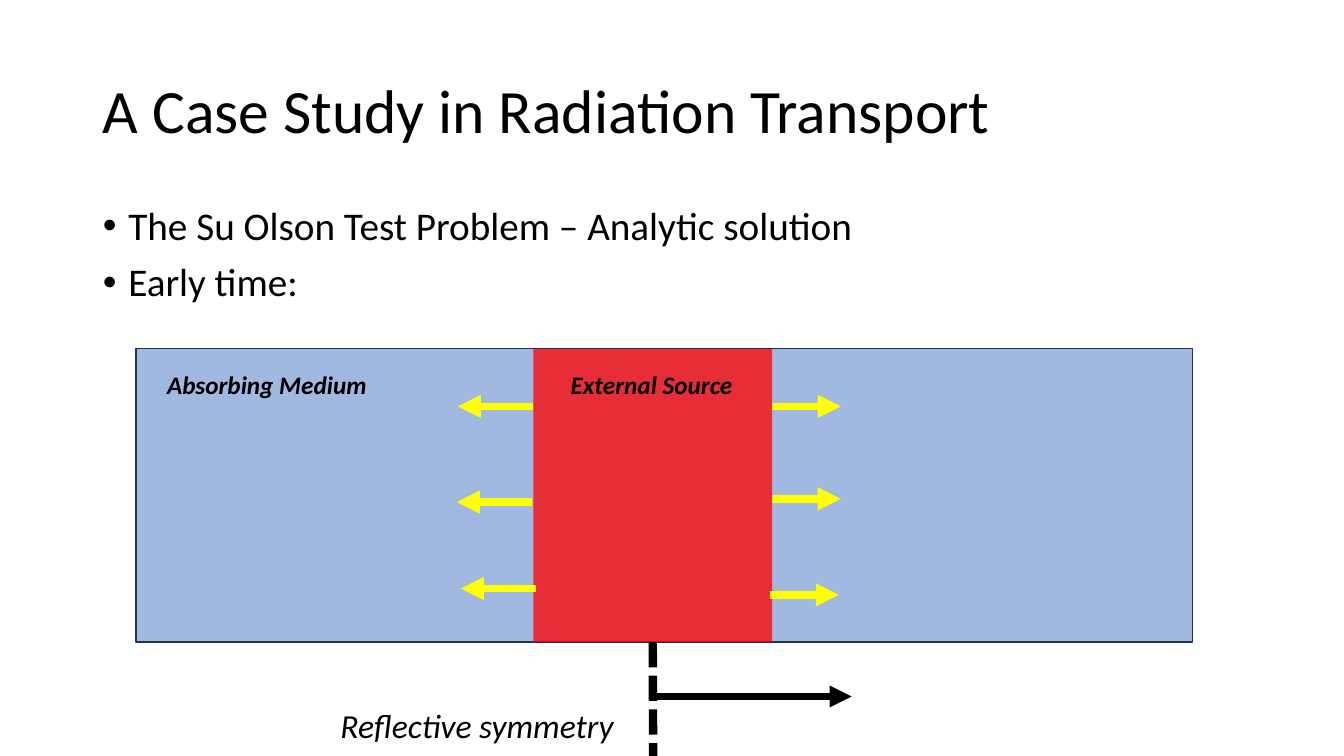
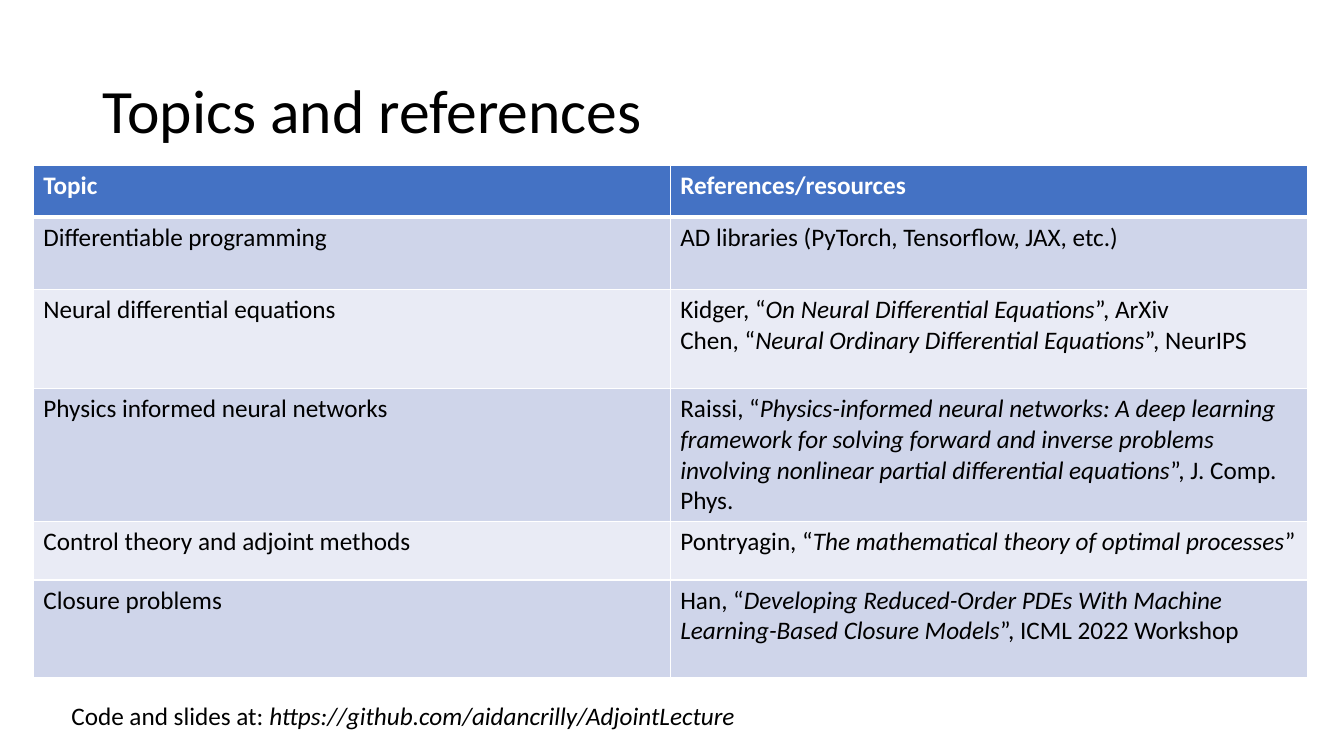
"""Build two lecture slides: a radiation transport diagram and a reference table."""
from dataclasses import dataclass
from typing import Any, NamedTuple, Optional

from lxml.etree import SubElement
from pptx import Presentation
from pptx.dml.color import RGBColor as Rgb
from pptx.enum.dml import MSO_LINE as Dash
from pptx.enum.shapes import MSO_CONNECTOR as Link, MSO_SHAPE as Preset
from pptx.enum.text import MSO_ANCHOR as Anchor, MSO_AUTO_SIZE as AutoSize, PP_ALIGN as Align
from pptx.oxml.ns import qn
from pptx.util import Cm, Pt

COLORS = {
    "text": "000000", "white": "FFFFFF", "accent": "4472C4", "outline": "1E3256",
    "source": "FF0000", "ray": "FFFF00", "band_dark": "CFD5EA", "band_light": "E9EBF5",
}
FONT = "Calibri"
TITLE_ONLY, TITLE_AND_BODY = 5, 1
TITLE_FRAME = (2.34, 1.02, 29.21, 3.68)
BODY_FRAME = (2.34, 5.08, 29.21, 12.09)


class Span(NamedTuple):
    text: str
    italic: bool = False


@dataclass
class Label:
    text: list[Span]
    frame: tuple[float, float, float, float]
    size: int = 18
    bold: bool = False
    align: Align = Align.LEFT


@dataclass
class Block:
    frame: tuple[float, float, float, float]
    fill: str
    opacity: int
    outline: Optional[str] = None


@dataclass
class Stroke:
    start: tuple[float, float]
    end: tuple[float, float]
    color: str = "ray"
    width: float = 5.5
    arrow: bool = True


@dataclass
class Topic:
    name: str
    references: list[list[Span]]
    height: float


def cite(author: str, work: str, venue: str = "") -> list[Span]:
    return [Span(f"{author}, “"), Span(work, True), Span(f"”{venue}")]


BULLETS = ["The Su Olson Test Problem – Analytic solution", "Early time:"]
MEDIUM = Block((3.43, 8.79, 26.62, 7.39), "accent", 50, "outline")
SOURCE = Block((13.44, 8.79, 6.02, 7.39), "source", 75)
LABELS = [
    Label([Span("Absorbing Medium", True)], (3.96, 9.19, 8.79, 1.02), bold=True),
    Label([Span("External Source", True)], (13.74, 9.19, 5.36, 1.02), bold=True, align=Align.CENTER),
    Label([Span("Reflective symmetry", True)], (8.33, 17.63, 11.66, 1.27), size=24),
]
ARROWS = [
    Stroke((16.38, 17.55), (21.46, 17.55), "text", 5.25),
    *(Stroke((left, y), (left + length, y)) for left, y, length in [
        (19.46, 10.24, 1.73), (19.46, 12.57, 1.73), (19.41, 14.99, 1.73),
        (13.44, 10.24, -1.9), (13.41, 12.65, -1.9), (13.51, 14.83, -1.9),
    ]),
]
SYMMETRY_AXIS = Stroke((16.45, 16.18), (16.46, 19.05), "text", 6, arrow=False)
TOPICS = [
    Topic("Differentiable programming",
          [[Span("AD libraries (PyTorch, Tensorflow, JAX, etc.)")]], 1.83),
    Topic("Neural differential equations",
          [cite("Kidger", "On Neural Differential Equations", ", ArXiv"),
           cite("Chen", "Neural Ordinary Differential Equations", ", NeurIPS")], 2.49),
    Topic("Physics informed neural networks",
          [cite("Raissi", "Physics-informed neural networks: A deep learning framework for solving "
                "forward and inverse problems involving nonlinear partial differential equations",
                ", J. Comp. Phys.")], 3.35),
    Topic("Control theory and adjoint methods",
          [cite("Pontryagin", "The mathematical theory of optimal processes")], 1.47),
    Topic("Closure problems",
          [cite("Han", "Developing Reduced-Order PDEs With Machine Learning-Based Closure Models",
                ", ICML 2022 Workshop")], 2.46),
]
CODE_NOTE = Label(
    [Span("Code and slides at: "), Span("https://github.com/aidancrilly/AdjointLecture", True)],
    (1.55, 17.53, 18.92, 1.02))


def rgb(name: str) -> Rgb:
    return Rgb.from_string(COLORS[name])


def apply(target: Any, values: dict[str, Any]) -> None:
    for name, value in values.items():
        setattr(target, name, value)


def write(para: Any, spans: list[Span], size: int, bold: bool = False, color: str = "text") -> None:
    for span in spans:
        run = para.add_run()
        run.text = span.text
        apply(run.font, {"name": FONT, "size": Pt(size), "bold": bold, "italic": span.italic})
        run.font.color.rgb = rgb(color)


def place(shape: Any, frame: tuple[float, float, float, float]) -> None:
    apply(shape, dict(zip(("left", "top", "width", "height"), map(Cm, frame))))


def add_page(deck: Any, layout: int, title: str) -> Any:
    page = deck.slides.add_slide(deck.slide_layouts[layout])
    box = page.shapes.title
    place(box, TITLE_FRAME)
    apply(box.text_frame, {"auto_size": AutoSize.NONE, "vertical_anchor": Anchor.MIDDLE})
    para = box.text_frame.paragraphs[0]
    apply(para, {"alignment": Align.LEFT, "line_spacing": 0.9})
    write(para, [Span(title)], 44)
    return page


def add_bullets(page: Any, items: list[str]) -> None:
    body = page.placeholders[1]
    place(body, BODY_FRAME)
    frame = body.text_frame
    frame.auto_size = AutoSize.NONE
    for index, item in enumerate(items):
        para = frame.add_paragraph() if index else frame.paragraphs[0]
        properties = para._p.get_or_add_pPr()
        properties.set("marL", str(Cm(0.64)))
        properties.set("indent", str(-Cm(0.64)))
        SubElement(properties, qn("a:buFont"), typeface="Arial")
        SubElement(properties, qn("a:buChar"), char="•")
        apply(para, {"line_spacing": 0.9, "space_before": Pt(10 if index else 0)})
        write(para, [Span(item)], 28)


def add_label(page: Any, label: Label) -> None:
    box = page.shapes.add_textbox(*map(Cm, label.frame))
    apply(box.text_frame, {"word_wrap": True, "auto_size": AutoSize.SHAPE_TO_FIT_TEXT})
    para = box.text_frame.paragraphs[0]
    para.alignment = label.align
    write(para, label.text, label.size, label.bold)


def add_block(page: Any, block: Block) -> Any:
    shape = page.shapes.add_shape(Preset.RECTANGLE, *map(Cm, block.frame))
    shape.shadow.inherit = False
    shape.fill.solid()
    shape.fill.fore_color.rgb = rgb(block.fill)
    color = shape.element.spPr.find(qn("a:solidFill")).find(qn("a:srgbClr"))
    SubElement(color, qn("a:alpha"), val=str(block.opacity * 1000))
    if block.outline:
        shape.line.color.rgb = rgb(block.outline)
        shape.line.width = Pt(1)
    else:
        shape.line.fill.background()
    return shape


def add_stroke(page: Any, stroke: Stroke) -> Any:
    line = page.shapes.add_connector(Link.STRAIGHT, *map(Cm, stroke.start + stroke.end))
    line.line.color.rgb = rgb(stroke.color)
    line.line.width = Pt(stroke.width)
    properties = line.element.spPr
    if stroke.arrow:
        SubElement(properties.find(qn("a:ln")), qn("a:tailEnd"), type="triangle")
    else:
        line.line.dash_style = Dash.SQUARE_DOT
    SubElement(properties, qn("a:effectLst"))
    return line


def add_borders(cell: Any, top: int, bottom: int) -> None:
    properties = cell._tc.get_or_add_tcPr()
    for side, width in {"lnL": 1, "lnR": 1, "lnT": top, "lnB": bottom}.items():
        border = SubElement(properties, qn(f"a:{side}"), w=str(Pt(width)))
        fill = SubElement(border, qn("a:solidFill"))
        SubElement(fill, qn("a:srgbClr"), val=COLORS["white"])


def add_topic_table(page: Any, topics: list[Topic]) -> None:
    rows = [Topic("Topic", [[Span("References/resources")]], 1.3), *topics]
    column_width = 16.05
    height = sum(row.height for row in rows)
    table = page.shapes.add_table(
        len(rows), 2, Cm(0.84), Cm(4.17), Cm(2 * column_width), Cm(height)).table
    for column in table.columns:
        column.width = Cm(column_width)
    for index, row in enumerate(rows):
        header = index == 0
        fill = "accent" if header else "band_dark" if index % 2 else "band_light"
        table.rows[index].height = Cm(row.height)
        for column, paragraphs in enumerate([[[Span(row.name)]], row.references]):
            cell = table.cell(index, column)
            add_borders(cell, 3 if index == 1 else 1, 3 if header else 1)
            cell.fill.solid()
            cell.fill.fore_color.rgb = rgb(fill)
            for number, spans in enumerate(paragraphs):
                frame = cell.text_frame
                para = frame.add_paragraph() if number else frame.paragraphs[0]
                write(para, spans, 18, header, "white" if header else "text")


def build_case_study(deck: Any) -> None:
    page = add_page(deck, TITLE_AND_BODY, "A Case Study in Radiation Transport")
    add_bullets(page, BULLETS)
    add_block(page, MEDIUM)
    source = add_block(page, SOURCE)
    for arrow in ARROWS:
        add_stroke(page, arrow)
    add_stroke(page, SYMMETRY_AXIS).begin_connect(source, 2)
    for label in LABELS:
        add_label(page, label)


def build_references(deck: Any) -> None:
    page = add_page(deck, TITLE_ONLY, "Topics and references")
    add_topic_table(page, TOPICS)
    add_label(page, CODE_NOTE)


def main() -> None:
    deck = Presentation()
    apply(deck, {"slide_width": Cm(33.87), "slide_height": Cm(19.05)})
    build_case_study(deck)
    build_references(deck)
    deck.save("out.pptx")


if __name__ == "__main__":
    main()
